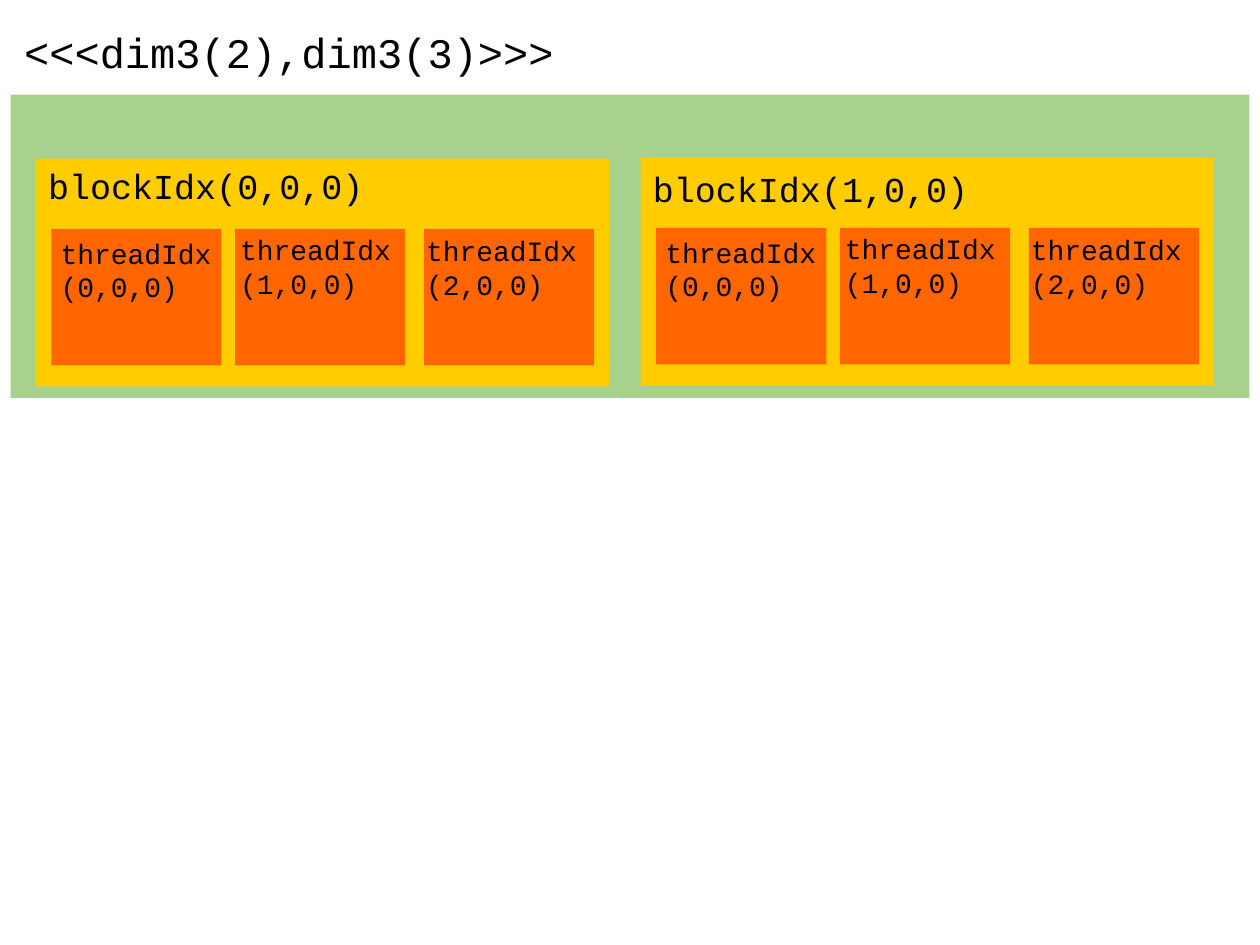
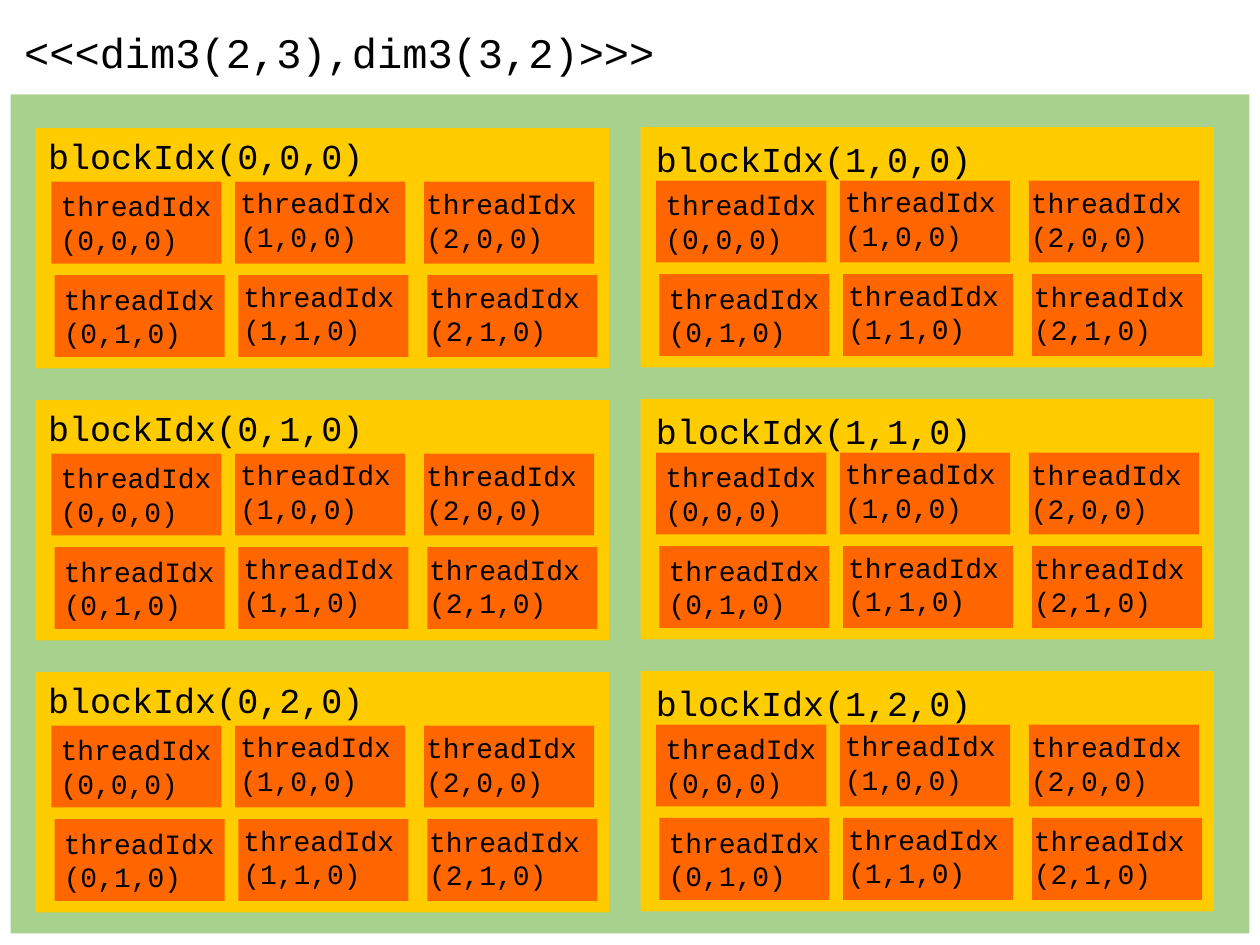
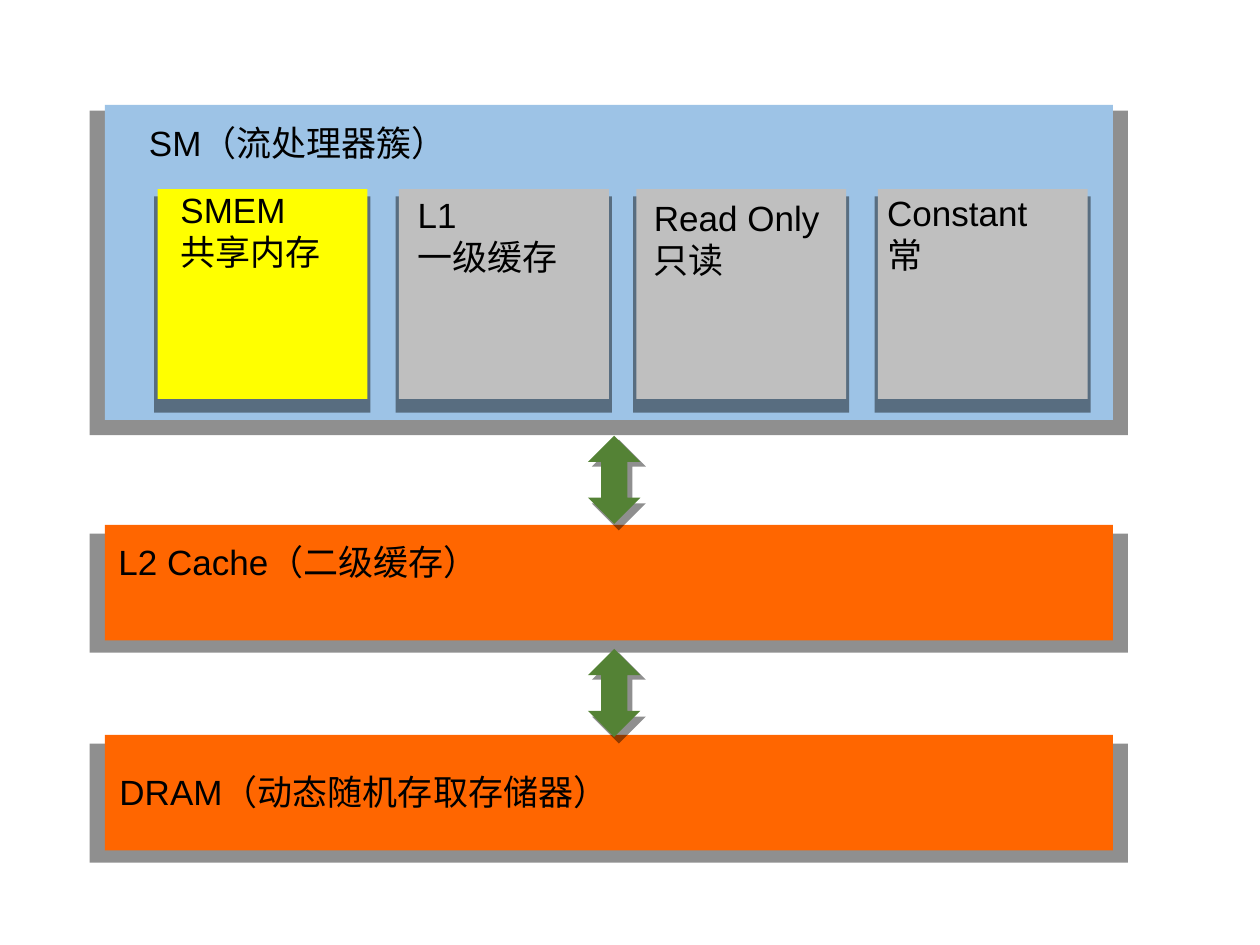
from dataclasses import dataclass
from itertools import product

from lxml.etree import SubElement
from pptx import Presentation
from pptx.dml.color import RGBColor
from pptx.enum.shapes import MSO_SHAPE
from pptx.enum.text import MSO_ANCHOR, MSO_AUTO_SIZE, PP_ALIGN
from pptx.oxml.ns import qn
from pptx.util import Inches, Pt

BLACK = RGBColor(0x00, 0x00, 0x00)
GRID_GREEN = RGBColor(0xA9, 0xD1, 0x8E)
BLOCK_GOLD = RGBColor(0xFF, 0xCC, 0x00)
ORANGE = RGBColor(0xFF, 0x66, 0x00)
SM_BLUE = RGBColor(0x9D, 0xC3, 0xE6)
SHARED_YELLOW = RGBColor(0xFF, 0xFF, 0x00)
CACHE_GRAY = RGBColor(0xBF, 0xBF, 0xBF)
ARROW_GREEN = RGBColor(0x54, 0x82, 0x35)

CODE_FONT = "Courier New"
LABEL_FONT = "Arial"
COLUMNS, ROWS = 120, 90
WIDTH, HEIGHT = Inches(10), Inches(7.5)
TITLE_ONLY, BLANK = 5, 6

BLOCK_PITCH = (57.6, 25.9)
THREAD_COLUMNS = (1.5, 19, 37)
THREAD_LABEL_SHIFTS = ((-0.3, 0.1), (-0.7, -0.2), (-1, -0.1))
THREAD_ROW_PITCH = 8.9
THREAD_ROW_INDENT = 0.3


@dataclass
class Box:
    left: float
    top: float
    width: float
    height: float

    def inside(self, left, top, width, height):
        return Box(self.left + left, self.top + top, width, height)

    def emu(self):
        column, row = WIDTH / COLUMNS, HEIGHT / ROWS
        return (round(self.left * column), round(self.top * row),
                round(self.width * column), round(self.height * row))


def write(frame, text, size, font=LABEL_FONT):
    frame.word_wrap = True
    frame.auto_size = MSO_AUTO_SIZE.NONE
    frame.vertical_anchor = MSO_ANCHOR.TOP
    frame.text = text
    for paragraph in frame.paragraphs:
        paragraph.alignment = PP_ALIGN.LEFT
        paragraph.font.size = Pt(size)
        paragraph.font.name = font
        paragraph.font.color.rgb = BLACK


def add_label(slide, box, text, **style):
    write(slide.shapes.add_textbox(*box.emu()).text_frame, text, **style)


def add_panel(slide, box, color, preset=MSO_SHAPE.RECTANGLE):
    panel = slide.shapes.add_shape(preset, *box.emu())
    panel.shadow.inherit = False
    panel.fill.solid()
    panel.fill.fore_color.rgb = color
    panel.line.fill.background()
    return panel


def cast_shadow(panel, distance, degrees):
    effects = panel._element.spPr.find(qn("a:effectLst"))
    shadow = SubElement(effects, qn("a:outerShdw"), blurRad="0", dist=str(Pt(distance)),
                        dir=str(degrees * 60000), sx="103000", sy="103000",
                        algn="ctr", rotWithShape="0")
    tint = SubElement(shadow, qn("a:srgbClr"), val=str(BLACK))
    SubElement(tint, qn("a:alpha"), val="43000")


def add_memory(slide, box, color, text, label_left, label_top, label_width, label_height):
    cast_shadow(add_panel(slide, box, color), 6, 91)
    label = box.inside(label_left, label_top, label_width, label_height)
    add_label(slide, label, text, size=20)


def add_thread(slide, box, column, row):
    add_panel(slide, box, ORANGE)
    left, top = THREAD_LABEL_SHIFTS[column]
    add_label(slide, box.inside(left, top, 27.6, 7.7),
              f"threadIdx\n({column},{row},0)", size=16, font=CODE_FONT)


def add_block(slide, box, column, row, thread_rows, thread_top, thread_height, label_shift):
    add_panel(slide, box, BLOCK_GOLD)
    add_label(slide, box.inside(column * label_shift, column * 0.4, 60.7, 5.3),
              f"blockIdx({column},{row},0)", size=20, font=CODE_FONT)
    for thread_row, (thread_column, left) in product(range(thread_rows),
                                                     enumerate(THREAD_COLUMNS)):
        thread = box.inside(left + thread_row * THREAD_ROW_INDENT,
                            thread_top + thread_row * THREAD_ROW_PITCH,
                            16.2, thread_height)
        add_thread(slide, thread, thread_column, thread_row)


def add_launch_slide(deck, launch, title_width, grid_height, block_rows,
                     first_top, block_height, **threads):
    slide = deck.slides.add_slide(deck.slide_layouts[TITLE_ONLY])
    title = slide.shapes.title
    title.left, title.top, title.width, title.height = Box(1.1, 1.9, title_width, 6).emu()
    write(title.text_frame, launch, size=24, font=CODE_FONT)
    grid = Box(1, 9, 118, grid_height)
    add_panel(slide, grid, GRID_GREEN)
    across, down = BLOCK_PITCH
    for row, column in product(range(block_rows), range(2)):
        block = grid.inside(2.4 + column * across, first_top + row * down - column * 0.1,
                            54.6, block_height)
        add_block(slide, block, column, row, **threads)


def add_multiprocessor(slide, box):
    add_memory(slide, box, SM_BLUE, "SM（流处理器簇）", 3, 1, 32, 5.3)
    memories = (
        (5, SHARED_YELLOW, "SMEM\n共享内存", 1, -0.6),
        (28, CACHE_GRAY, "L1\n一级缓存", 0.6, -0.2),
        (50.6, CACHE_GRAY, "Read Only\n只读", 0.5, 0.1),
        (73.6, CACHE_GRAY, "Constant\n常", -0.3, -0.4),
    )
    for left, color, text, label_left, label_top in memories:
        add_memory(slide, box.inside(left, 8, 20, 20), color, text,
                   label_left, label_top, 32, 9.2)


def add_memory_slide(deck):
    slide = deck.slides.add_slide(deck.slide_layouts[BLANK])
    add_multiprocessor(slide, Box(10, 10, 96, 30))
    add_memory(slide, Box(10, 50, 96, 11), ORANGE, "L2 Cache（二级缓存）", 0.1, 0.9, 48, 5.3)
    add_memory(slide, Box(10, 70, 96, 11), ORANGE, "DRAM（动态随机存取存储器）",
               0.2, 2.8, 60.5, 5.3)
    for top in (41.5, 61.8):
        arrow = add_panel(slide, Box(56, top, 5, 8.4), ARROW_GREEN, MSO_SHAPE.UP_DOWN_ARROW)
        cast_shadow(arrow, 4, 48)


def main():
    deck = Presentation()
    deck.slide_width, deck.slide_height = WIDTH, HEIGHT
    add_launch_slide(deck, "<<<dim3(2),dim3(3)>>>", title_width=60.7, grid_height=28.9,
                     block_rows=1, first_top=6.1, block_height=21.7,
                     thread_rows=1, thread_top=6.7, thread_height=13, label_shift=0)
    add_launch_slide(deck, "<<<dim3(2,3),dim3(3,2)>>>", title_width=73.9, grid_height=79.9,
                     block_rows=3, first_top=3.2, block_height=22.9,
                     thread_rows=2, thread_top=5.1, thread_height=7.8, label_shift=0.3)
    add_memory_slide(deck)
    deck.save("out.pptx")


if __name__ == "__main__":
    main()
